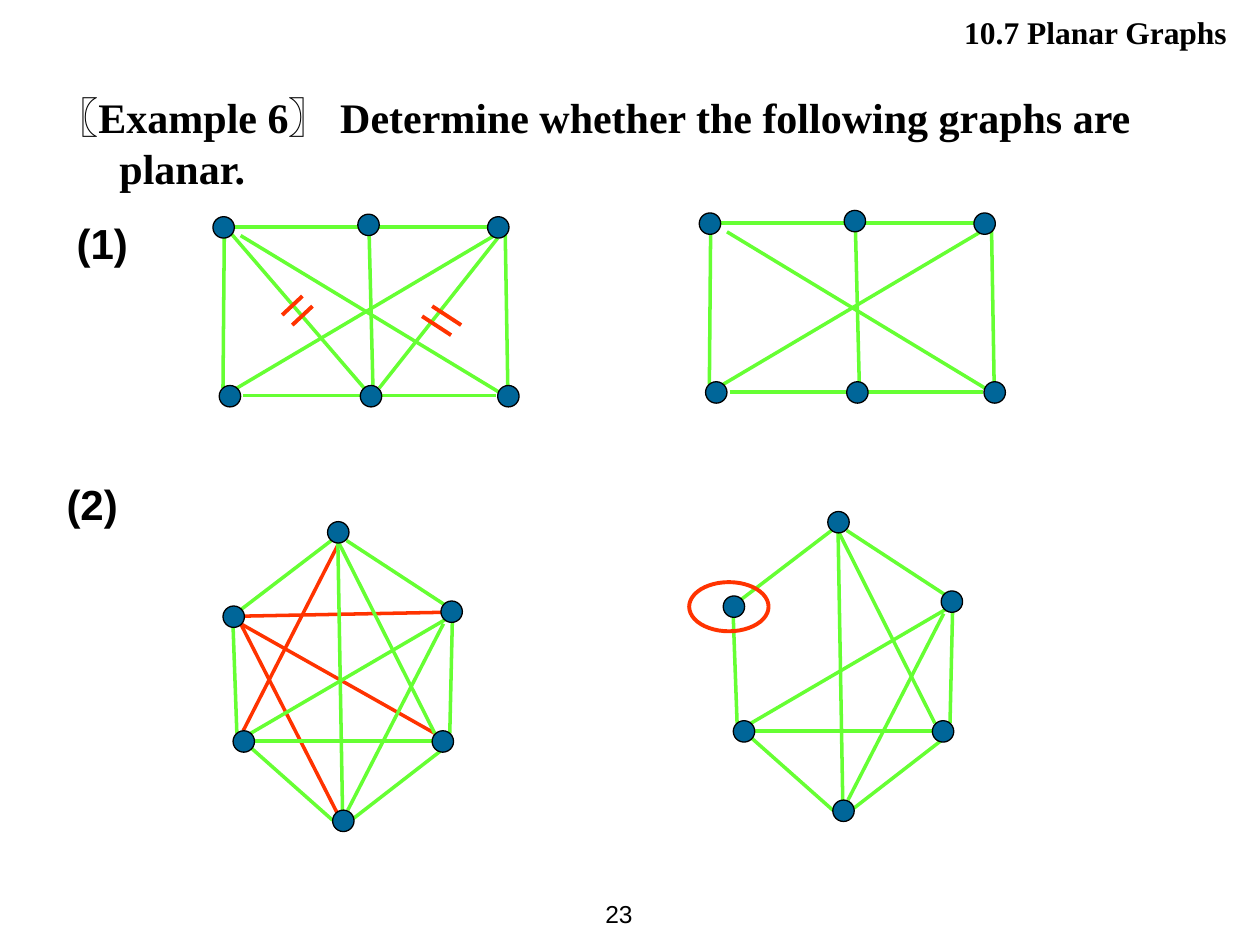
"""Build the slide on deciding whether four graphs are planar."""
from dataclasses import dataclass

from lxml import etree
from pptx import Presentation
from pptx import util as u
from pptx.dml.color import RGBColor
from pptx.enum import shapes, text
from pptx.oxml.ns import qn


@dataclass(frozen=True)
class Theme:
    """Colours, fonts and sizes of the slide."""
    ink: RGBColor = RGBColor(0x00, 0x00, 0x00)
    node: RGBColor = RGBColor(0x00, 0x66, 0x99)
    edge: RGBColor = RGBColor(0x66, 0xFF, 0x33)
    mark: RGBColor = RGBColor(0xFF, 0x33, 0x00)
    gold: RGBColor = RGBColor(0xFF, 0xCC, 0x00)
    sans: str = "Arial"
    serif: str = "Times New Roman"
    body: int = 24
    header: int = 18
    number: int = 14
    edge_width: float = 2
    mark_width: float = 2.25
    outline: float = 0.75


THEME = Theme()
GRID = 2.54
NODE = 0.17

RECTANGLE_NODES = [(1.74, 3.06), (1.69, 1.72), (3.87, 1.72),
                   (3.95, 3.06), (2.84, 1.7), (2.86, 3.06)]
RECTANGLE_CUT = [(3.01, 3.08, 3.95, 1.89), (1.84, 1.86, 2.89, 3.08)]
RECTANGLE_EDGES = [
    (1.78, 1.89, 1.77, 3.08), (3.94, 1.86, 1.88, 3.08), (2.93, 1.87, 2.96, 3.07),
    (1.91, 1.87, 3.99, 3.13), (4.03, 3.06, 4.01, 1.86), (1.86, 1.8, 3.87, 1.8),
    (1.93, 3.14, 3.94, 3.14)]

HEXAGON_NODES = [(1.85, 5.8), (3.43, 5.8), (1.77, 4.81),
                 (3.5, 4.77), (2.6, 4.14), (2.64, 6.43)]
HEXAGON_CUT = [(2.69, 4.31, 1.93, 5.8), (1.94, 4.89, 3.5, 4.86),
               (1.91, 4.95, 3.45, 5.82), (1.91, 4.95, 2.68, 6.46)]
HEXAGON_EDGES = [
    (1.85, 4.98, 1.88, 5.82), (2.02, 5.88, 3.43, 5.88), (3.57, 5.82, 3.59, 4.94),
    (3.53, 4.8, 2.75, 4.29), (1.91, 4.84, 2.63, 4.29), (2.69, 4.31, 3.45, 5.82),
    (1.99, 5.82, 3.53, 4.92), (2.64, 6.51, 1.93, 5.88), (2.8, 6.5, 3.51, 5.95),
    (3.52, 4.95, 2.76, 6.43), (2.68, 4.22, 2.72, 6.51)]

CUT_MARKS = [
    [(3.43, 2.43, 3.66, 2.58), (3.35, 2.51, 3.58, 2.66)],
    [(2.24, 2.5, 2.4, 2.35), (2.32, 2.58, 2.48, 2.43)]]


def grid(*values):
    """Turn grid units into lengths."""
    return [u.Cm(value * GRID) for value in values]


def assign(target, values):
    """Set each named attribute on the target."""
    for name, value in values.items():
        setattr(target, name, value)


class SlideBuilder:
    """Hold the theme and the current slide."""

    def __init__(self, slide, theme):
        """Keep the slide and its theme."""
        self.slide = slide
        self.theme = theme

    def text_box(self, box, runs, align=text.PP_ALIGN.LEFT, hanging=0, **frame_format):
        """Add one paragraph made of (words, font format) runs."""
        shape = self.slide.shapes.add_textbox(*grid(*box))
        frame = shape.text_frame
        assign(frame, {"word_wrap": True, **frame_format})
        paragraph = frame.paragraphs[0]
        paragraph.alignment = align
        if hanging:
            indent = grid(hanging)[0]
            properties = paragraph._p.get_or_add_pPr()
            properties.set("marL", str(indent))
            properties.set("indent", str(-indent))
        for words, (name, size, bold, color) in runs:
            run = paragraph.add_run()
            run.text = words
            assign(run.font, {"name": name, "size": u.Pt(size), "bold": bold})
            run.font.color.rgb = color

    def line(self, container, ends, color, width):
        """Add a straight line between two points."""
        connector = container.add_connector(shapes.MSO_CONNECTOR.STRAIGHT, *grid(*ends))
        connector.line.color.rgb = color
        connector.line.width = u.Pt(width)
        etree.SubElement(connector._element.spPr, qn("a:effectLst"))

    def oval(self, container, kind, box, color, width, fill=None):
        """Add a round shape, hollow unless a fill is given."""
        shape = container.add_shape(kind, *grid(*box))
        shape.shadow.inherit = False
        if fill is None:
            shape.fill.background()
        else:
            shape.fill.solid()
            shape.fill.fore_color.rgb = fill
        shape.line.color.rgb = color
        shape.line.width = u.Pt(width)

    def group(self):
        """Add an empty group and return its shapes."""
        return self.slide.shapes.add_group_shape().shapes

    def graph(self, container, nodes, edges, cut=(), cut_color=None, shift=(0, 0)):
        """Draw the cut edges, the kept edges and then the nodes."""
        theme = self.theme
        dx, dy = shift
        for color, group in ((cut_color, cut), (theme.edge, edges)):
            for x1, y1, x2, y2 in group:
                ends = (x1 + dx, y1 + dy, x2 + dx, y2 + dy)
                self.line(container, ends, color, theme.edge_width)
        for left, top in nodes:
            self.oval(container, shapes.MSO_SHAPE.FLOWCHART_CONNECTOR,
                      (left + dx, top + dy, NODE, NODE), theme.ink, theme.outline, theme.node)


def main():
    """Create the presentation and save it."""
    presentation = Presentation()
    presentation.slide_width, presentation.slide_height = grid(10, 7.5)
    slide = presentation.slides.add_slide(presentation.slide_layouts[6])
    builder = SlideBuilder(slide, THEME)
    grow = {"auto_size": text.MSO_AUTO_SIZE.SHAPE_TO_FIT_TEXT}
    label = (THEME.sans, THEME.body, True, THEME.ink)

    builder.text_box((4.45, 7, 0.67, 0.5),
                     [("23", (THEME.sans, THEME.number, False, THEME.ink))],
                     text.PP_ALIGN.RIGHT, word_wrap=False,
                     vertical_anchor=text.MSO_ANCHOR.MIDDLE)
    builder.text_box((0.35, 0.68, 9.14, 0.9),
                     [("〖", label),
                      ("Example 6〗 Determine whether the following graphs are planar.",
                       (THEME.serif, THEME.body, True, THEME.ink))],
                     hanging=0.5, **grow)
    for left, top, words in ((0.51, 1.68, "(1)"), (0.43, 3.75, "(2)")):
        builder.text_box((left, top, 9.14, 0.5), [(words, label)], hanging=0.5, **grow)

    builder.graph(builder.group(), RECTANGLE_NODES, RECTANGLE_EDGES,
                  RECTANGLE_CUT, THEME.edge)
    builder.graph(builder.group(), RECTANGLE_NODES, RECTANGLE_EDGES, shift=(3.86, -0.03))
    for marks in CUT_MARKS:
        container = builder.group()
        for ends in marks:
            builder.line(container, ends, THEME.mark, THEME.mark_width)

    builder.graph(slide.shapes, HEXAGON_NODES, HEXAGON_EDGES, HEXAGON_CUT, THEME.mark)
    builder.graph(builder.group(), HEXAGON_NODES, HEXAGON_EDGES, shift=(3.97, -0.08))
    builder.oval(slide.shapes, shapes.MSO_SHAPE.OVAL, (5.47, 4.62, 0.63, 0.39),
                 THEME.mark, THEME.mark_width)

    builder.text_box((3.98, -0.03, 5.94, 0.5),
                     [("10.7 Planar Graphs", (THEME.serif, THEME.header, True, THEME.ink)),
                      (" ", (THEME.serif, THEME.body, True, THEME.gold))],
                     text.PP_ALIGN.RIGHT, **grow)
    presentation.save("out.pptx")


if __name__ == "__main__":
    main()
